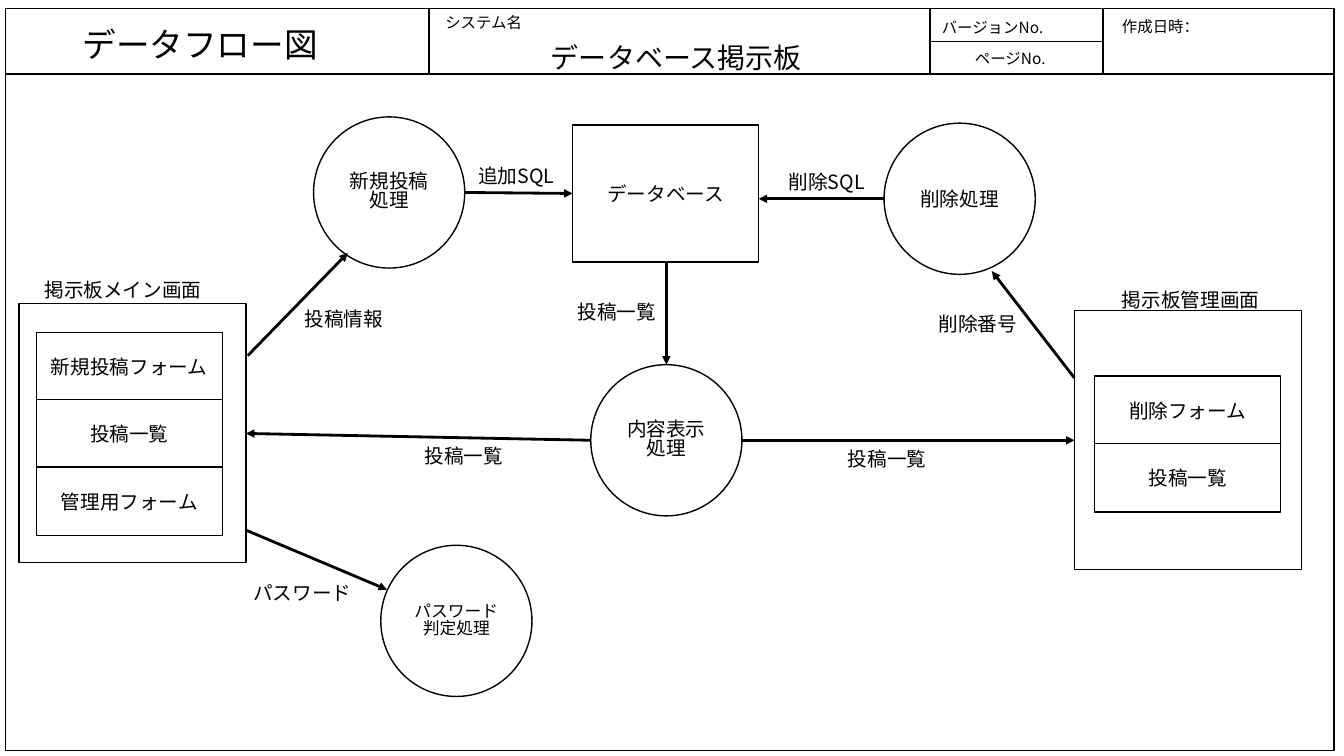
from collections import namedtuple
from dataclasses import dataclass

from lxml.etree import SubElement
from pptx import Presentation
from pptx.dml.color import RGBColor
from pptx.enum.shapes import MSO_CONNECTOR as CXN, MSO_SHAPE as SHAPE
from pptx.enum.text import MSO_ANCHOR as ANCHOR, MSO_AUTO_SIZE as AUTO, PP_ALIGN as ALIGN
from pptx.oxml.ns import qn
from pptx.util import Pt


@dataclass(frozen=True)
class Theme:
    """Colours, font and sizes of the slide."""
    ink: RGBColor = RGBColor(0, 0, 0)
    paper: RGBColor = RGBColor(255, 255, 255)
    font: str = "Noto Sans CJK JP"
    title: int = 24
    system: int = 20
    body: int = 14
    compact: int = 12
    small: int = 11
    border: int = 1
    arrow: int = 2
    leading: float = 0.82


class Box(namedtuple("Box", "x y w h")):
    """A rectangle in points."""

    def inner(self, x, y, w, h):
        """Return a box offset from this one's top left corner."""
        return Box(self.x + x, self.y + y, w, h)

    def lengths(self):
        """Return the four sides as slide lengths."""
        return [Pt(v) for v in self]


THEME = Theme()
CIRCLE = 108
ENTITY_W = 133
LABEL = (109.5, 26.5)
ROW_H, ROW_PITCH = 49, 48.2


def write(sp, text, size, align=ALIGN.CENTER, anchor=ANCHOR.MIDDLE):
    """Put formatted text into a shape."""
    tf = sp.text_frame
    tf.text = text
    tf.word_wrap = True
    tf.auto_size = AUTO.NONE
    tf.vertical_anchor = anchor
    if anchor == ANCHOR.TOP:
        tf.margin_top = 0
    for p in tf.paragraphs:
        p.alignment = align
        if len(tf.paragraphs) > 1:
            p.line_spacing = THEME.leading
        for r in p.runs:
            r.font.size = Pt(size)
            r.font.color.rgb = THEME.ink
            r.font.name = THEME.font
            SubElement(r.font._element, qn("a:ea"), typeface=THEME.font)


def add_text(slide, box, text, size=THEME.body, **layout):
    """Add a text box."""
    write(slide.shapes.add_textbox(*box.lengths()), text, size, **layout)


def add_outline(slide, box, text="", kind=SHAPE.RECTANGLE, filled=False, size=THEME.body):
    """Add a bordered shape with optional text and white fill."""
    sp = slide.shapes.add_shape(kind, *box.lengths())
    sp.shadow.inherit = False
    if filled:
        sp.fill.solid()
        sp.fill.fore_color.rgb = THEME.paper
    else:
        sp.fill.background()
    sp.line.color.rgb = THEME.ink
    sp.line.width = Pt(THEME.border)
    if text:
        write(sp, text, size)


def add_arrow(slide, box, x1, y1, x2, y2):
    """Add an arrow between two points measured from the box corner."""
    ends = (box.x + x1, box.y + y1, box.x + x2, box.y + y2)
    cxn = slide.shapes.add_connector(CXN.STRAIGHT, *map(Pt, ends))
    cxn.line.color.rgb = THEME.ink
    cxn.line.width = Pt(THEME.arrow)
    SubElement(cxn.line._get_or_add_ln(), qn("a:tailEnd"), type="triangle")
    SubElement(cxn._element.spPr, qn("a:effectLst"))


def add_header(slide, box):
    """Draw the form header: title, system name, version, page and date."""
    half = box.h / 2
    for cell in [(0, 0, 302.5, box.h), (302.5, 0, 358, box.h), (660, 0, 124, half),
                 (660, half, 124, half), (784, 0, box.w - 784, box.h)]:
        add_outline(slide, box.inner(*cell))

    title = slide.shapes.title
    title.left, title.top, title.width, title.height = box.inner(35, 11.3, 208, 35).lengths()
    write(title, "データフロー図", THEME.title, anchor=ANCHOR.TOP)

    add_text(slide, box.inner(285.5, 20, 387.5, 29.5), "データベース掲示板", THEME.system)
    for text, place, align in [
        ("システム名", (297, 3.5, 89, 35), ALIGN.CENTER),
        ("バージョンNo.", (639.7, 7, 108.7, 20), ALIGN.RIGHT),
        ("ページNo.", (660, 29, 90, 19), ALIGN.RIGHT),
        ("作成日時：", (777, 6, 96, 17), ALIGN.CENTER),
    ]:
        add_text(slide, box.inner(*place), text, THEME.small, align=align, anchor=ANCHOR.TOP)


def add_screen(slide, box, caption, caption_at, rows, rows_at):
    """Draw a screen: caption, frame and a stack of its parts."""
    add_outline(slide, box)
    add_text(slide, box.inner(*caption_at, 160, LABEL[1]), caption)
    x, y = rows_at
    for i, row in enumerate(rows):
        add_outline(slide, box.inner(x, y + i * ROW_PITCH, ENTITY_W, ROW_H), row, filled=True)


def add_flow(slide, box):
    """Draw the data flow: screens, processes, database and labelled arrows."""
    add_outline(slide, box)
    add_screen(slide, box.inner(9.7, 163.7, 162, 185), "掲示板メイン画面", (-5.8, -23),
               ["新規投稿フォーム", "投稿一覧", "管理用フォーム"], (12.2, 20.6))
    add_screen(slide, box.inner(763.5, 168.8, 162, 185), "掲示板管理画面", (3, -21),
               ["削除フォーム", "投稿一覧"], (14.4, 46.8))
    add_outline(slide, box.inner(405, 36.3, ENTITY_W, 98), "データベース", filled=True)

    for text, x, y, size in [
        ("新規投稿\n処理", 220, 30.5, THEME.body),
        ("内容表示\n処理", 418, 207.5, THEME.body),
        ("削除処理", 627.5, 35, THEME.body),
        ("パスワード\n判定処理", 268, 336.5, THEME.compact),
    ]:
        add_outline(slide, box.inner(x, y, CIRCLE, CIRCLE), text, SHAPE.OVAL, size=size)

    for text, label_at, ends in [
        ("投稿情報", (187, 161.5), (173, 201, 244.4, 127.7)),
        ("追加SQL", (310, 59.3), (328, 84.5, 405, 85.2)),
        ("削除SQL", (531.7, 63.6), (627.5, 89, 538, 89)),
        ("削除番号", (639.7, 165.2), (763.5, 217, 704.5, 140.7)),
        ("投稿一覧", (382, 156.5), (472, 134.3, 472, 207.5)),
        ("投稿一覧", (272.5, 259.5), (418, 261.5, 171.7, 256.6)),
        ("投稿一覧", (575, 261.6), (526, 261.5, 763.5, 261.5)),
        ("パスワード", (157.3, 357.4), (171.7, 325.7, 272.5, 368.2)),
    ]:
        add_arrow(slide, box, *ends)
        add_text(slide, box.inner(*label_at, *LABEL), text)


def main():
    """Build the slide and save it."""
    prs = Presentation()
    prs.slide_width, prs.slide_height = Pt(960), Pt(540)
    slide = prs.slides.add_slide(prs.slide_layouts.get_by_name("Title Only"))
    add_header(slide, Box(4, 6, 949, 47))
    add_flow(slide, Box(4, 53, 949, 483))
    prs.save("out.pptx")


main()
